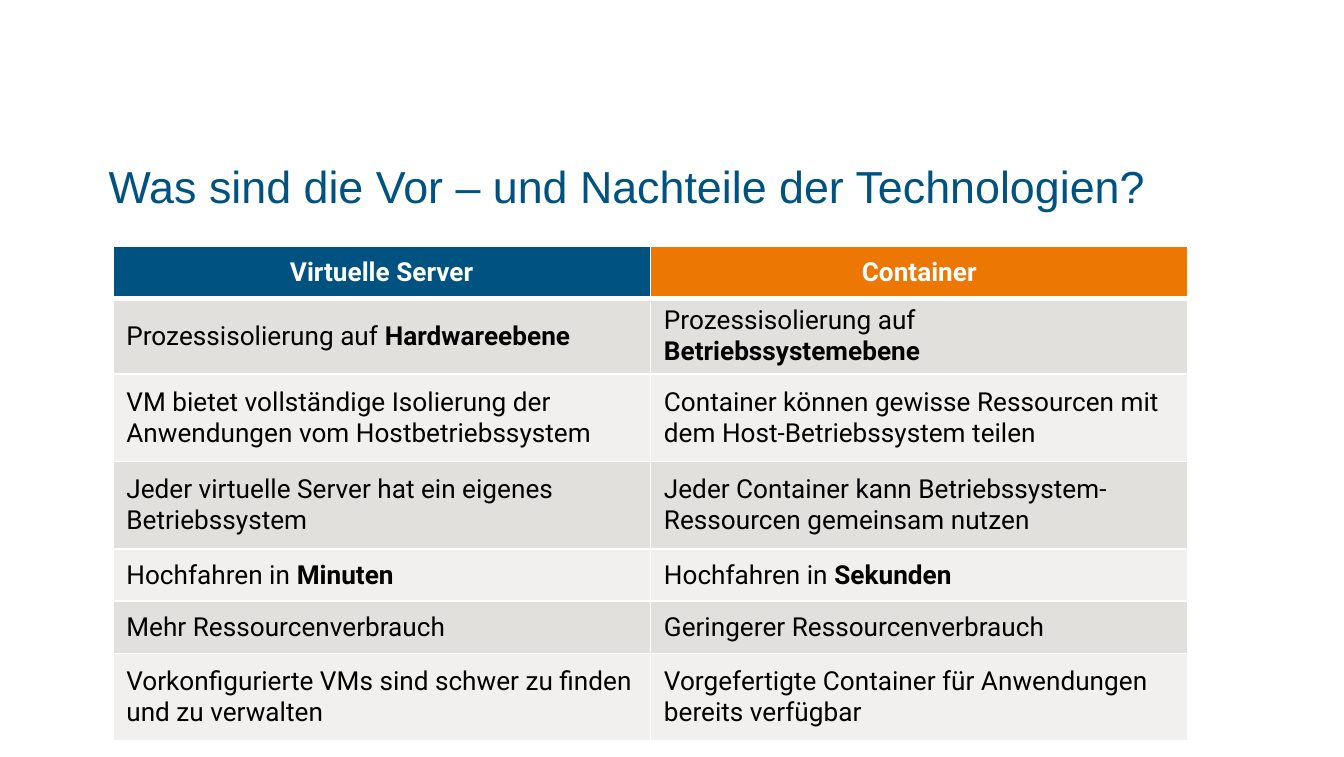
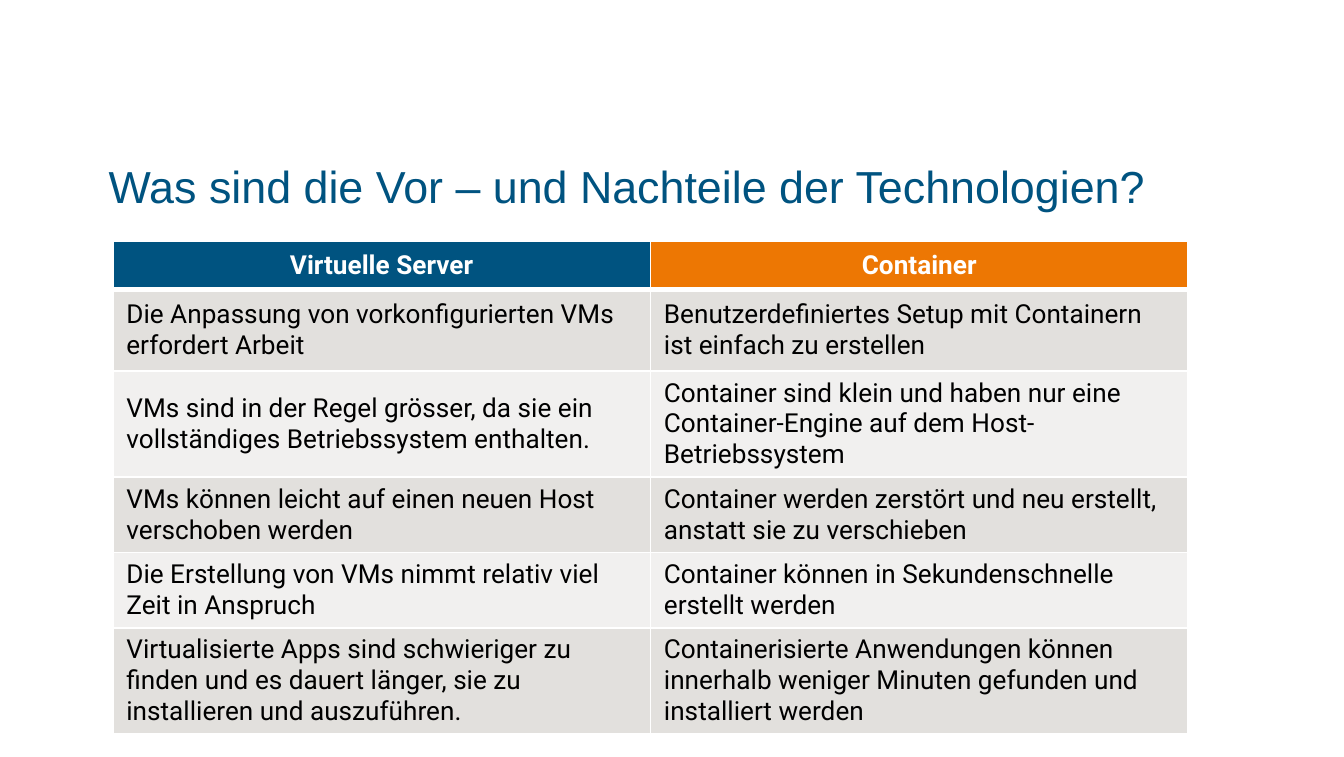
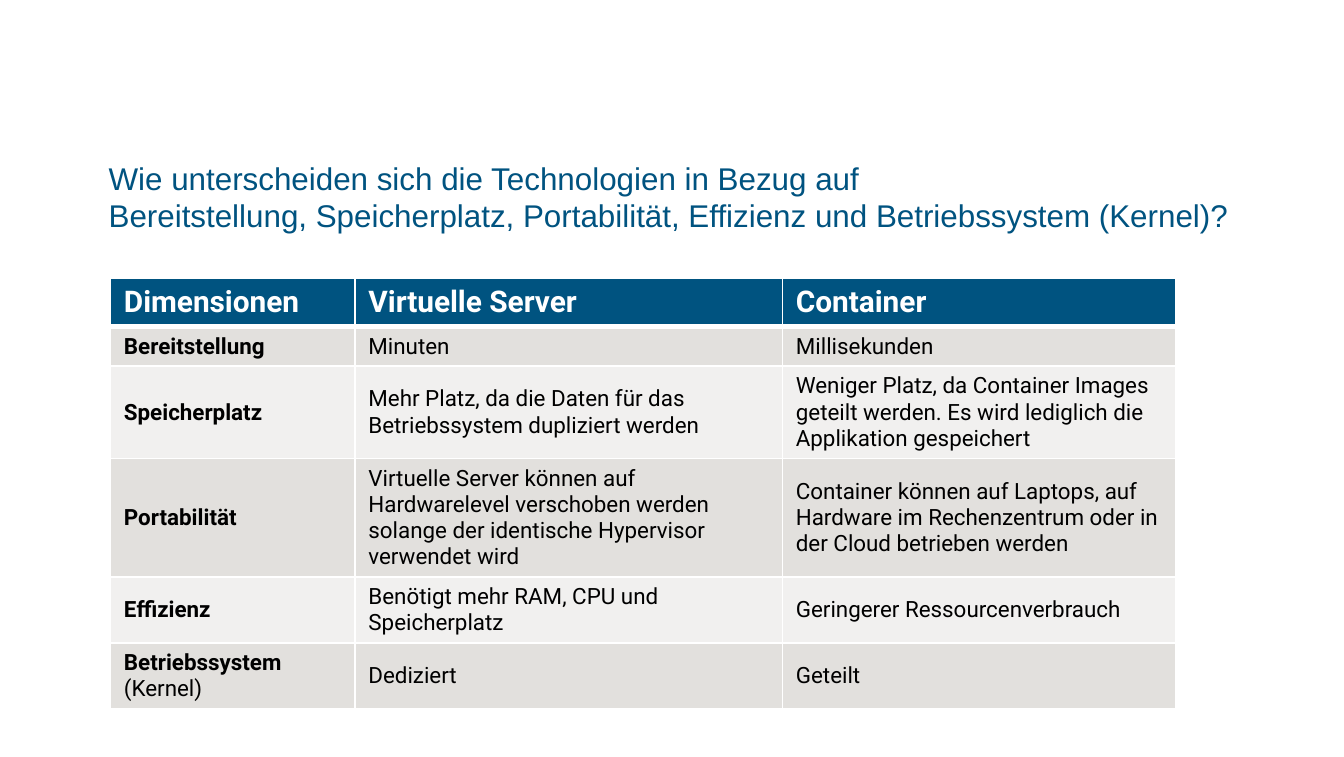
from copy import deepcopy
from pptx import Presentation
from pptx.dml.color import RGBColor
from pptx.enum.text import MSO_ANCHOR, MSO_AUTO_SIZE, PP_ALIGN
from pptx.oxml.ns import qn
from pptx.util import Pt
from lxml.etree import SubElement

BLUE = RGBColor(0x00, 0x53, 0x80)
ORANGE = RGBColor(0xED, 0x77, 0x03)
WHITE = RGBColor(0xFF, 0xFF, 0xFF)
BLACK = RGBColor(0x00, 0x00, 0x00)
BANDS = [RGBColor(0xE2, 0xE0, 0xDD), RGBColor(0xF1, 0xF0, 0xEF)]
TITLE_FONT, TABLE_FONT = "Arial", "Roboto"
THIN, THICK = 0.96, 3

PROS_CONS = "Was sind die Vor – und Nachteile der Technologien?"
PAIR = dict(title=PROS_CONS, title_size=24, title_height=32.4, left=60.5,
            cols=[288, 288], head_fills=[BLUE, ORANGE], head_size=14,
            head_align=PP_ALIGN.CENTER, size=14,
            head=["Virtuelle Server", "Container"])

SLIDES = [
    dict(PAIR, top=132, heights=[28, 28, 46.8, 46.8, 28, 28, 46.8], body=[
        ["Prozessisolierung auf **Hardwareebene**",
         "Prozessisolierung auf **Betriebssystemebene**"],
        ["VM bietet vollständige Isolierung der Anwendungen vom Hostbetriebssystem",
         "Container können gewisse Ressourcen mit dem Host-Betriebssystem teilen"],
        ["Jeder virtuelle Server hat ein eigenes Betriebssystem",
         "Jeder Container kann Betriebssystem-Ressourcen gemeinsam nutzen"],
        ["Hochfahren in **Minuten**", "Hochfahren in **Sekunden**"],
        ["Mehr Ressourcenverbrauch", "Geringerer Ressourcenverbrauch"],
        ["Vorkonfigurierte VMs sind schwer zu finden und zu verwalten",
         "Vorgefertigte Container für Anwendungen bereits verfügbar"],
    ]),
    dict(PAIR, top=129, heights=[26, 43.6, 53.5, 38, 38, 53.5], body=[
        ["Die Anpassung von vorkonfigurierten VMs erfordert Arbeit",
         "Benutzerdefiniertes Setup mit Containern ist einfach zu erstellen"],
        ["VMs sind in der Regel grösser, da sie ein vollständiges Betriebssystem enthalten.",
         "Container sind klein und haben nur eine Container-Engine auf dem Host-Betriebssystem"],
        ["VMs können leicht auf einen neuen Host verschoben werden",
         "Container werden zerstört und neu erstellt, anstatt sie zu verschieben"],
        ["Die Erstellung von VMs nimmt relativ viel Zeit in Anspruch",
         "Container können in Sekundenschnelle erstellt werden"],
        ["Virtualisierte Apps sind schwieriger zu finden und es dauert länger, "
         "sie zu installieren und auszuführen.",
         "Containerisierte Anwendungen können innerhalb weniger Minuten gefunden "
         "und installiert werden"],
    ]),
    dict(title="Wie unterscheiden sich die Technologien in Bezug auf \vBereitstellung, "
               "Speicherplatz, Portabilität, Effizienz und Betriebssystem (Kernel)?",
         title_size=16.8, title_height=41, left=59.2, top=149, cols=[131, 229, 211],
         heights=[22, 21, 43, 55, 32, 21], head_fills=[BLUE] * 3, head_size=16,
         head_align=PP_ALIGN.LEFT, size=12,
         head=["Dimensionen", "Virtuelle Server", "Container"], body=[
        ["**Bereitstellung**", "Minuten", "Millisekunden"],
        ["**Speicherplatz**",
         "Mehr Platz, da die Daten für das Betriebssystem dupliziert werden",
         "Weniger Platz, da Container Images geteilt werden. "
         "Es wird lediglich die Applikation gespeichert"],
        ["**Portabilität**",
         "Virtuelle Server können auf Hardwarelevel verschoben werden solange "
         "der identische Hypervisor verwendet wird",
         "Container können auf Laptops, auf Hardware im Rechenzentrum oder "
         "in der Cloud betrieben werden"],
        ["**Effizienz**", "Benötigt mehr RAM, CPU und Speicherplatz",
         "Geringerer Ressourcenverbrauch"],
        ["**Betriebssystem** (Kernel)", "Dediziert", "Geteilt"],
    ]),
]


def write(tf, text, font, size, color, bold=False, align=PP_ALIGN.LEFT):
    p = tf.paragraphs[0]
    p.alignment = align
    for i, part in enumerate(text.split("**")):
        if not part:
            continue
        for j, line in enumerate(part.split("\v")):
            if j:
                p.add_line_break()
                p._p[-1].append(deepcopy(r._r.rPr))
            r = p.add_run()
            r.text = line
            r.font.name, r.font.size = font, Pt(size)
            r.font.bold = bold or i % 2 == 1
            r.font.color.rgb = color


def add_borders(cell, top, bottom):
    tcPr = cell._tc.get_or_add_tcPr()
    for side, width in (("L", THIN), ("R", THIN), ("T", top), ("B", bottom)):
        ln = SubElement(tcPr, qn("a:ln" + side), w=str(Pt(width)))
        fill = SubElement(ln, qn("a:solidFill"))
        SubElement(fill, qn("a:srgbClr"), val=str(WHITE))


def add_title(s, d):
    sp = s.shapes.title
    sp.left, sp.top = Pt(58.2), Pt(85)
    sp.width, sp.height = Pt(642.2), Pt(d["title_height"])
    tf = sp.text_frame
    tf.margin_left = tf.margin_right = tf.margin_top = tf.margin_bottom = 0
    tf.word_wrap = True
    tf.auto_size = MSO_AUTO_SIZE.NONE
    tf.vertical_anchor = MSO_ANCHOR.TOP
    write(tf, d["title"], TITLE_FONT, d["title_size"], BLUE)


def add_comparison(s, d):
    rows = [d["head"]] + d["body"]
    table = s.shapes.add_table(len(rows), len(d["cols"]), Pt(d["left"]), Pt(d["top"]),
                               Pt(sum(d["cols"])), Pt(sum(d["heights"]))).table
    for col, width in zip(table.columns, d["cols"]):
        col.width = Pt(width)
    for i, texts in enumerate(rows):
        table.rows[i].height = Pt(d["heights"][i])
        for j, text in enumerate(texts):
            cell = table.cell(i, j)
            cell.vertical_anchor = MSO_ANCHOR.MIDDLE
            add_borders(cell, THICK if i == 1 else THIN, THICK if i == 0 else THIN)
            cell.fill.solid()
            if i == 0:
                cell.fill.fore_color.rgb = d["head_fills"][j]
                write(cell.text_frame, text, TABLE_FONT, d["head_size"], WHITE,
                      bold=True, align=d["head_align"])
            else:
                cell.fill.fore_color.rgb = BANDS[(i - 1) % 2]
                write(cell.text_frame, text, TABLE_FONT, d["size"], BLACK)


prs = Presentation()
prs.slide_width, prs.slide_height = Pt(720), Pt(405.36)
for d in SLIDES:
    s = prs.slides.add_slide(prs.slide_layouts[5])
    add_title(s, d)
    add_comparison(s, d)
prs.save("out.pptx")
